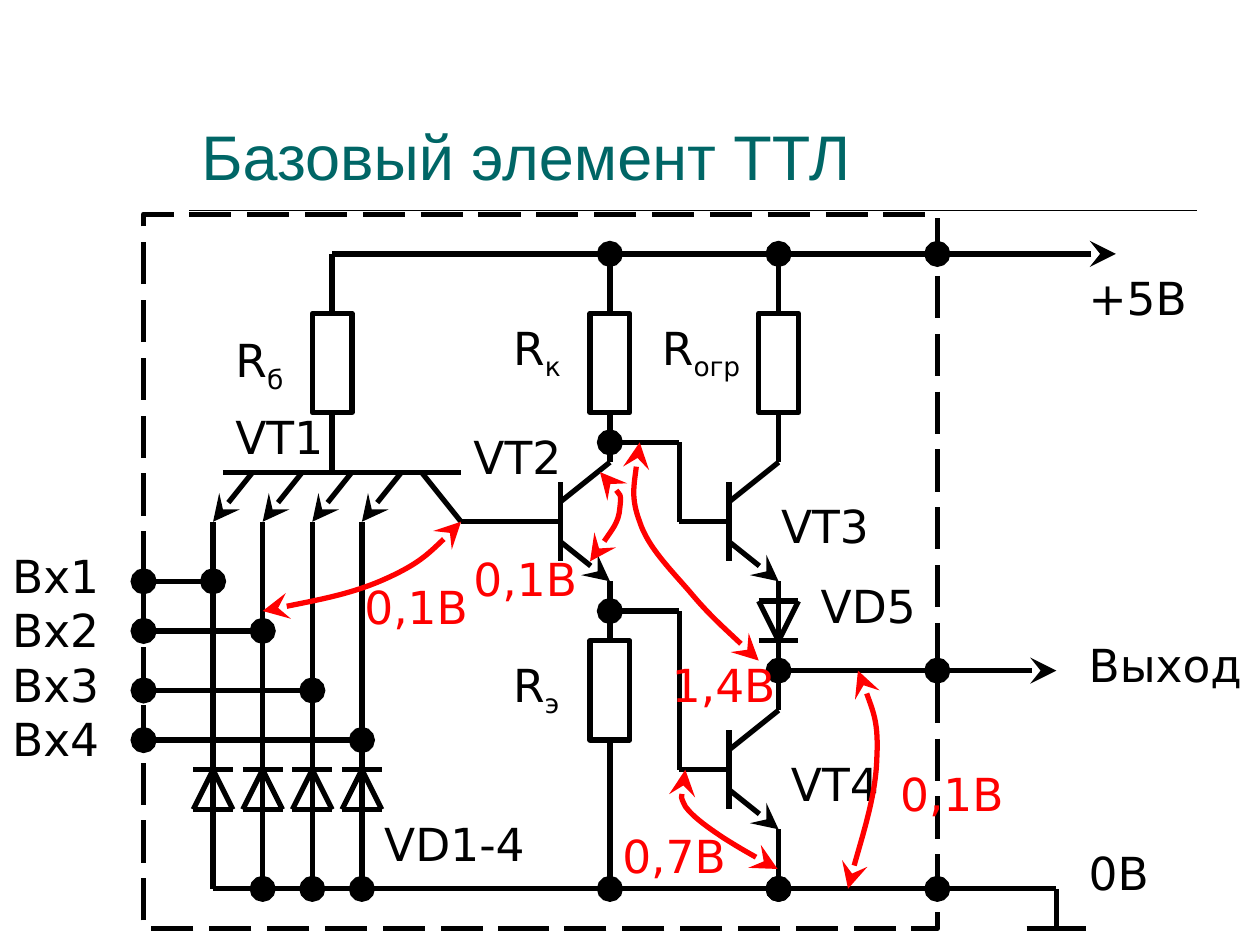
"""Draw the circuit of a basic TTL gate on a 2 mm grid."""
from dataclasses import dataclass

from lxml.etree import SubElement
from pptx import Presentation
from pptx.dml.color import RGBColor
from pptx.enum.dml import MSO_LINE
from pptx.enum.shapes import MSO_CONNECTOR, MSO_SHAPE
from pptx.enum.text import MSO_ANCHOR
from pptx.oxml.ns import qn
from pptx.util import Inches, Mm, Pt

COLORS = {"ink": "000000", "title": "006666", "voltage": "FF0000", "paper": "FFFFFF"}
CELL = Mm(2)
ORIGIN = (Inches(1.14), Inches(1.7))
TOP, BOTTOM = 0, 2
POWER, GROUND, RIGHT_EDGE = 4, 68, 80


@dataclass
class Wire:
    start: tuple
    end: tuple
    head: str = ""
    tail: str = ""


@dataclass
class Resistor:
    col: float
    row: float
    upper_end: float
    lower_end: float
    upper_mark: str = ""
    lower_mark: str = ""


@dataclass
class Label:
    col: float
    row: float
    width: float
    words: str
    subscript: str = ""
    color: str = "ink"
    height: float = 7


@dataclass
class Input:
    col: float
    row: float
    ground_mark: str = "oval"


def place(col: float, row: float) -> tuple:
    return round(ORIGIN[0] + col * CELL), round(ORIGIN[1] + row * CELL)


def rgb(name: str) -> RGBColor:
    return RGBColor.from_string(COLORS[name])


def style_line(line, color: str = "ink", head: str = "", tail: str = "", width: float = 3) -> None:
    line.color.rgb = rgb(color)
    line.width = Pt(width)
    outline = line._get_or_add_ln()
    for tag, mark in (("a:headEnd", head), ("a:tailEnd", tail)):
        if mark:
            SubElement(outline, qn(tag), type=mark, w="lg", len="lg")


def draw_line(shapes, begin: tuple, end: tuple, head: str = "", tail: str = "", width: float = 3):
    connector = shapes.add_connector(MSO_CONNECTOR.STRAIGHT, *begin, *end)
    style_line(connector.line, "ink", head, tail, width)
    SubElement(connector._element.spPr, qn("a:effectLst"))
    return connector


def draw_wire(shapes, wire: Wire):
    return draw_line(shapes, place(*wire.start), place(*wire.end), wire.head, wire.tail)


def draw_box(shapes, col: float, row: float, cols: float, rows: float):
    box = shapes.add_shape(MSO_SHAPE.RECTANGLE, *place(col, row), round(cols * CELL), round(rows * CELL))
    box.shadow.inherit = False
    style_line(box.line)
    return box


def draw_resistor(shapes, part: Resistor) -> None:
    body = draw_box(shapes, part.col - 2, part.row, 4, 10)
    body.fill.solid()
    body.fill.fore_color.rgb = rgb("paper")
    leads = ((TOP, part.row, part.upper_end, part.upper_mark),
             (BOTTOM, part.row + 10, part.lower_end, part.lower_mark))
    for side, near, far, mark in leads:
        lead = draw_wire(shapes, Wire((part.col, near), (part.col, far), tail=mark))
        lead.begin_connect(body, side)


def draw_diode(shapes, col: float, tip: float, base: float) -> None:
    for row in (tip, base):
        draw_wire(shapes, Wire((col - 2, row), (col + 2, row)))
    for side in (2, -2):
        draw_wire(shapes, Wire((col, tip), (col + side, base)))


def draw_transistor(shapes, col: float, row: float) -> None:
    draw_wire(shapes, Wire((col, row - 4), (col, row + 4)))
    draw_wire(shapes, Wire((col + 5, row + 6), (col, row + 2), head="stealth"))
    draw_wire(shapes, Wire((col, row - 2), (col + 5, row - 6)))


def draw_input(shapes, item: Input) -> None:
    node = (item.col, item.row)
    draw_wire(shapes, Wire(node, (0, item.row), tail="oval"))
    draw_wire(shapes, Wire((item.col, GROUND), node, item.ground_mark, "oval"))
    draw_wire(shapes, Wire((item.col, 31), node))
    draw_wire(shapes, Wire((item.col, 31), (item.col + 4, 26), head="stealth"))
    draw_diode(shapes, item.col, 56, 60)


def draw_voltage_arrow(shapes, controls: list) -> None:
    builder = shapes.build_freeform(*place(*controls[0]))
    builder.add_line_segments([place(*control) for control in controls[1:]], close=False)
    arrow = builder.convert_to_shape()
    segments = list(arrow._element.iter(qn("a:lnTo")))
    outline = segments[0].getparent()
    for first in range(0, len(segments), 3):
        curve = SubElement(outline, qn("a:cubicBezTo"))
        for segment in segments[first:first + 3]:
            curve.append(segment[0])
            outline.remove(segment)
    arrow.shadow.inherit = False
    arrow.fill.background()
    style_line(arrow.line, "voltage", "stealth", "stealth")


def add_words(paragraph, words: str, size: float, font: str, color: str):
    run = paragraph.add_run()
    run.text = words
    run.font.size = Pt(size)
    run.font.name = font
    run.font.color.rgb = rgb(color)
    return run


def draw_label(shapes, label: Label) -> None:
    box = shapes.add_textbox(*place(label.col, label.row), round(label.width * CELL), round(label.height * CELL))
    box.text_frame.word_wrap = True
    paragraph = box.text_frame.paragraphs[0]
    for index, words in enumerate(label.words.split("\n")):
        if index:
            paragraph.add_line_break()
        add_words(paragraph, words, 26, "DejaVu Sans", label.color)
    if label.subscript:
        run = add_words(paragraph, label.subscript, 26, "DejaVu Sans", label.color)
        run.font._element.set("baseline", "-25000")


INPUTS = [Input(7, 37, ""), Input(12, 42), Input(17, 48), Input(22, 53)]
RESISTORS = [Resistor(19, 10, POWER, 26), Resistor(47, 10, POWER, 25, "oval"),
             Resistor(64, 10, POWER, 25, "oval"), Resistor(47, 43, 37, GROUND, "", "oval")]
TRANSISTORS = [(42, 31), (59, 31), (59, 56)]
WIRES = [
    Wire((8, 26), (32, 26)), Wire((28, 26), (32, 31)), Wire((32, 31), (42, 31)),
    Wire((98, POWER), (RIGHT_EDGE, POWER), head="stealth"), Wire((19, POWER), (RIGHT_EDGE, POWER), tail="oval"),
    Wire((54, 23), (47, 23), tail="oval"), Wire((54, 23), (54, 31)), Wire((54, 31), (59, 31)),
    Wire((54, 40), (47, 40), tail="oval"), Wire((54, 40), (54, 56)), Wire((54, 56), (59, 56)),
    Wire((64, 37), (64, 50)), Wire((64, 62), (64, GROUND), tail="oval"),
    Wire((92, 46), (81, 46), head="stealth"), Wire((RIGHT_EDGE, 46), (64, 46), "oval", "oval"),
    Wire((7, GROUND), (59, GROUND)), Wire((12, GROUND), (64, GROUND)),
    Wire((RIGHT_EDGE, GROUND), (64, GROUND), "oval", "oval"),
    Wire((RIGHT_EDGE, GROUND), (92, GROUND)), Wire((92, GROUND), (92, 72)), Wire((89, 72), (95, 72)),
]
LABELS = [
    Label(94, 5, 13, "+5В"), Label(94, 42, 18.5, "Выход"), Label(94, 63, 13, "0В"),
    Label(-14.5, 33, 13, "Вх1\nВх2\nВх3\nВх4", height=23.4),
    Label(8, 11.3, 9, "R", "б"), Label(36, 10, 9, "R", "к"),
    Label(51, 10, 11, "R", "огр"), Label(36, 44, 9, "R", "э"),
    Label(8, 19, 13, "VT1"), Label(32, 21, 13, "VT2"), Label(63, 28, 13, "VT3"), Label(64, 54, 13, "VT4"),
    Label(23, 60, 23, "VD1-4"), Label(67, 36, 13, "VD5"),
    Label(21, 36.2, 16, "0,1В", color="voltage"), Label(32, 33.3, 16, "0,1В", color="voltage"),
    Label(52, 44, 16, "1,4В", color="voltage"), Label(47, 61.2, 16, "0,7В", color="voltage"),
    Label(75, 55, 16, "0,1В", color="voltage"),
]
VOLTAGE_ARROWS = [
    [(12, 40), (16.6, 39.1), (21.2, 38.2), (24.5, 36.7), (27.8, 35.2), (30, 33.1), (32, 31)],
    [(46, 26), (47.1, 27), (48.2, 28), (48, 29.6), (47.9, 31.1), (45.6, 34.2), (45, 35)],
    [(50, 23), (49.6, 25.8), (49.1, 28.6), (50, 31), (50.8, 33.5),
     (53, 35.7), (55, 38), (57, 40.4), (59.6, 42.7), (62, 45)],
    [(54.6, 56), (54.3, 57.3), (54, 58.5), (54.6, 59.7), (55.4, 60.8),
     (57, 61.9), (58.5, 62.9), (60.1, 63.9), (62, 65), (63.9, 66)],
    [(72, 46), (73, 48.5), (74.1, 51.2), (73.9, 54.9), (73.8, 58.6), (71.5, 65.8), (71, 68)],
]


def main() -> None:
    deck = Presentation()
    deck.slide_width, deck.slide_height = Inches(10), Inches(7.5)
    shapes = deck.slides.add_slide(deck.slide_layouts[6]).shapes
    left, right, rule = Inches(1.5), Inches(9.5), Inches(1.67)
    draw_line(shapes, (left, rule), (right, rule), width=1)
    title = shapes.add_textbox(left, Inches(0.33), right - left, Inches(1.25)).text_frame
    title.word_wrap = True
    title.vertical_anchor = MSO_ANCHOR.BOTTOM
    add_words(title.paragraphs[0], "Базовый элемент ТТЛ", 36, "Arial", "title")

    frame = draw_box(shapes, 0, 0, RIGHT_EDGE, 72)
    frame.fill.background()
    frame.line.dash_style = MSO_LINE.LONG_DASH
    for resistor in RESISTORS:
        draw_resistor(shapes, resistor)
    for item in INPUTS:
        draw_input(shapes, item)
    for spot in TRANSISTORS:
        draw_transistor(shapes, *spot)
    draw_diode(shapes, 64, 43, 39)
    for wire in WIRES:
        draw_wire(shapes, wire)
    for label in LABELS:
        draw_label(shapes, label)
    for controls in VOLTAGE_ARROWS:
        draw_voltage_arrow(shapes, controls)
    deck.save("out.pptx")


if __name__ == "__main__":
    main()
